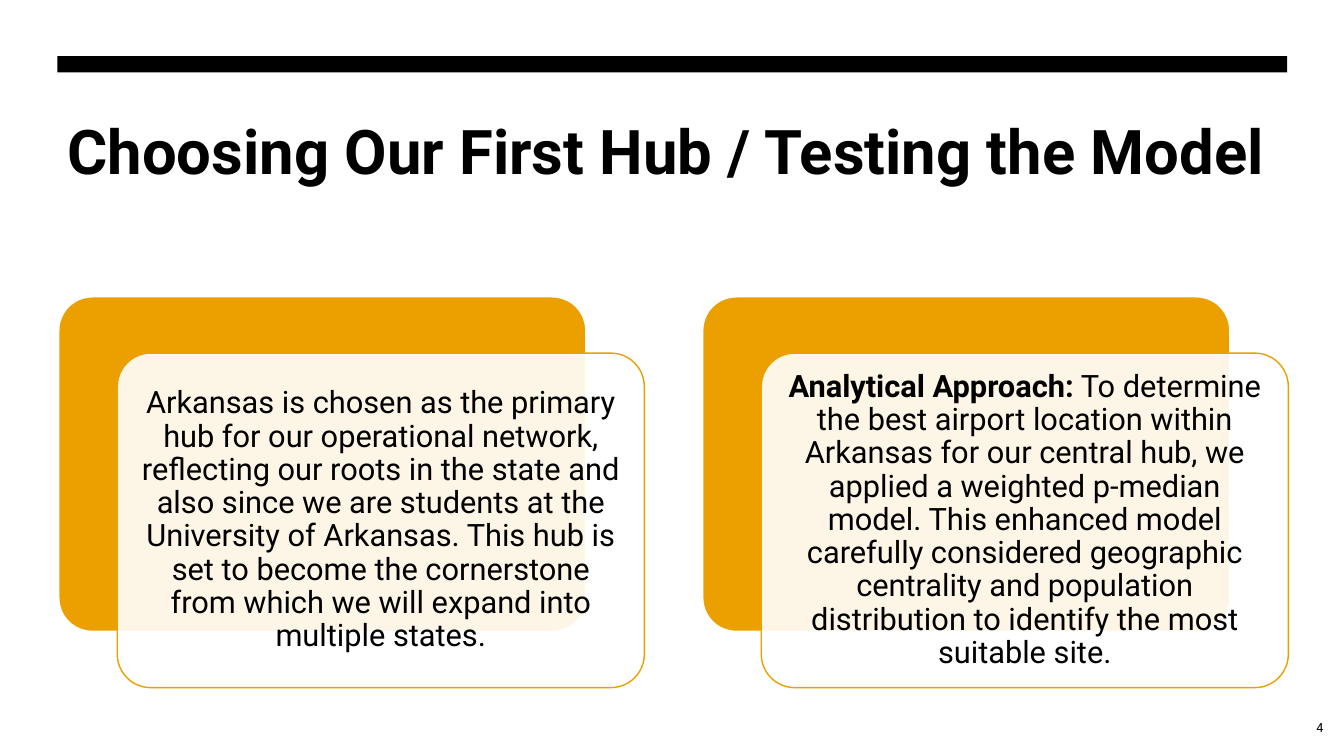
from dataclasses import dataclass

import lxml.etree
import pptx
import pptx.dml.color
import pptx.enum.shapes
import pptx.enum.text
import pptx.oxml.ns
import pptx.util

Pt = pptx.util.Pt
Align = pptx.enum.text.PP_ALIGN
Anchor = pptx.enum.text.MSO_ANCHOR
Preset = pptx.enum.shapes.MSO_SHAPE


@dataclass(frozen=True)
class Theme:
    font: str = "Roboto"
    black: str = "000000"
    white: str = "FFFFFF"
    amber: str = "EBA000"
    title_size: float = 44
    body_size: float = 22
    number_size: float = 9


def rgb(color):
    return pptx.dml.color.RGBColor.from_string(color)


class SlideBuilder:
    def __init__(self, slide, theme):
        self.slide = slide
        self.theme = theme

    def add_runs(self, paragraph, pieces, size):
        """Fill a paragraph with (text, bold) pieces."""
        for text, bold in pieces:
            run = paragraph.add_run()
            run.text = text
            run.font.name = self.theme.font
            run.font.size = Pt(size)
            run.font.bold = bold
            run.font.color.rgb = rgb(self.theme.black)

    def add_text(self, left, top, width, height, pieces, size,
                 align=Align.LEFT, anchor=Anchor.TOP):
        box = self.slide.shapes.add_textbox(Pt(left), Pt(top), Pt(width), Pt(height))
        frame = box.text_frame
        frame.word_wrap = True
        frame.vertical_anchor = anchor
        paragraph = frame.paragraphs[0]
        paragraph.alignment = align
        self.add_runs(paragraph, pieces, size)

    def add_block(self, preset, left, top, width, height, fill, line=None, opacity=100):
        shape = self.slide.shapes.add_shape(
            preset, Pt(left), Pt(top), Pt(width), Pt(height))
        shape.shadow.inherit = False
        shape.fill.solid()
        shape.fill.fore_color.rgb = rgb(fill)
        if opacity < 100:
            color = shape.element.spPr.find(
                pptx.oxml.ns.qn("a:solidFill")).find(pptx.oxml.ns.qn("a:srgbClr"))
            lxml.etree.SubElement(
                color, pptx.oxml.ns.qn("a:alpha"), val=str(opacity * 1000))
        if line:
            shape.line.color.rgb = rgb(line)
            shape.line.width = Pt(1)
        else:
            shape.line.fill.background()
        return shape

    def add_card(self, left, top, pieces):
        """Draw an amber panel with a translucent text panel offset over it."""
        theme = self.theme
        width, height, offset_x, offset_y = 376.5, 239, 41.8, 40.2
        panels = (
            (left, top, theme.amber, theme.white, 100),
            (left + offset_x, top + offset_y, theme.white, theme.amber, 90),
        )
        for x, y, fill, line, opacity in panels:
            panel = self.add_block(
                Preset.ROUNDED_RECTANGLE, x, y, width, height, fill, line, opacity)
            panel.adjustments[0] = 0.1
        frame = panel.text_frame
        frame.word_wrap = True
        frame.vertical_anchor = Anchor.MIDDLE
        frame.margin_left = frame.margin_right = Pt(6.6)
        frame.margin_top = frame.margin_bottom = Pt(6.6)
        paragraph = frame.paragraphs[0]
        paragraph.alignment = Align.CENTER
        paragraph.line_spacing = 0.9
        self.add_runs(paragraph, pieces, theme.body_size)


CARDS = (
    (("Arkansas is chosen as the primary hub for our operational network, "
      "reflecting our roots in the state and also since we are students at the "
      "University of Arkansas. This hub is set to become the cornerstone from "
      "which we will expand into multiple states.", False),),
    (("Analytical Approach:", True),
     (" To determine the best airport location within Arkansas for our central "
      "hub, we applied a weighted p-median model. This enhanced model carefully "
      "considered geographic centrality and population distribution to identify "
      "the most suitable site.", False)),
)


def main():
    presentation = pptx.Presentation()
    presentation.slide_width = Pt(960)
    presentation.slide_height = Pt(540)
    slide = presentation.slides.add_slide(presentation.slide_layouts[6])
    theme = Theme()
    builder = SlideBuilder(slide, theme)

    builder.add_text(41, 77, 878.4, 115.2,
                     (("Choosing Our First Hub / Testing the Model", True),),
                     theme.title_size)
    builder.add_block(Preset.RECTANGLE, 41, 40.2, 878.4, 11.5, theme.black)
    builder.add_text(902, 505.5, 50.4, 28.8, (("4", False),), theme.number_size,
                     Align.RIGHT, Anchor.MIDDLE)
    for index, pieces in enumerate(CARDS):
        builder.add_card(42 + index * 460, 212, pieces)

    presentation.save("out.pptx")


if __name__ == "__main__":
    main()
